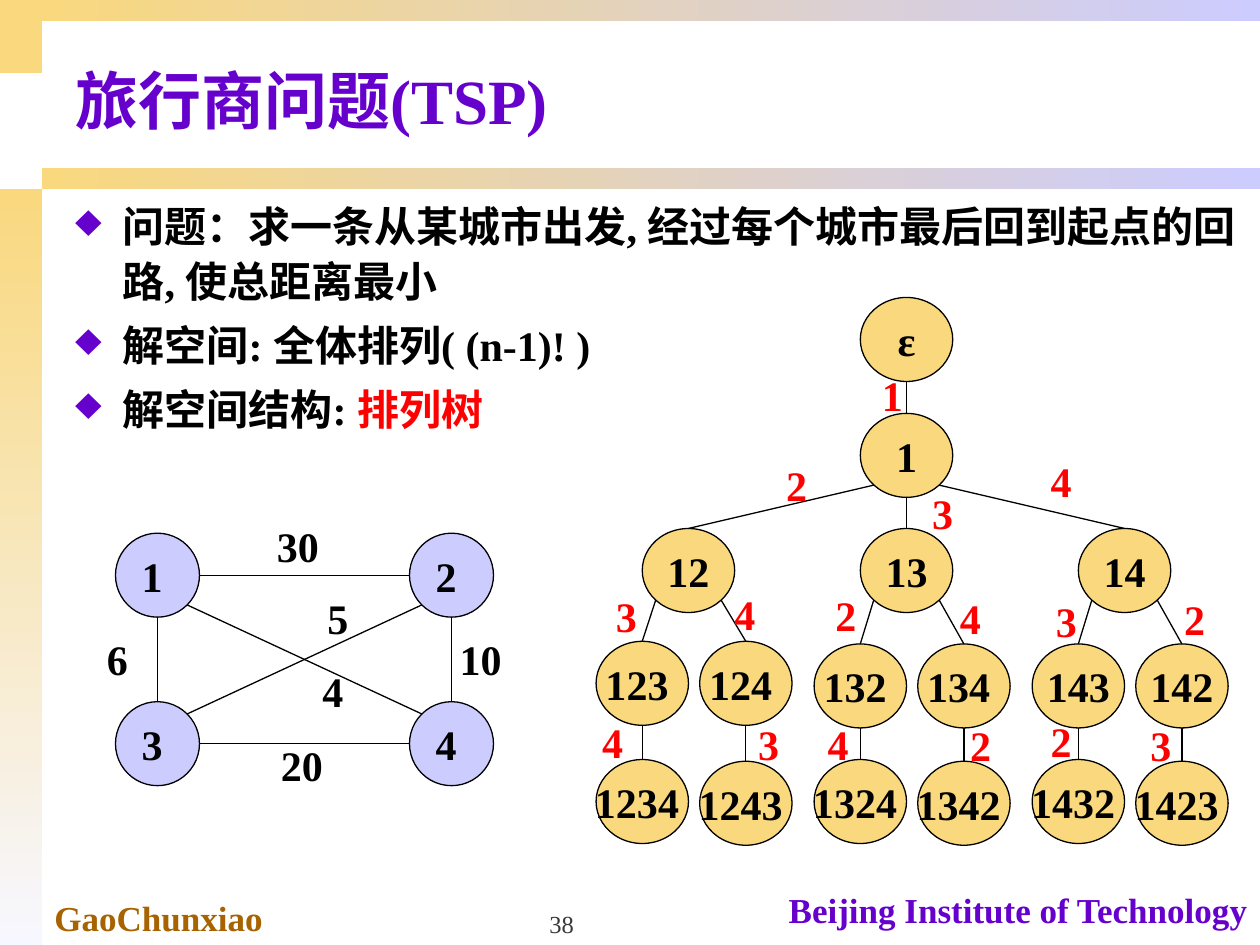
from typing import NamedTuple

from lxml import etree
from pptx import Presentation
from pptx.dml.color import RGBColor
from pptx.enum import shapes, text
from pptx.oxml.ns import qn
from pptx.util import Pt

HUES = {"gold": "F9D87E", "lilac": "CCCCFF", "pale": "F7F7FF", "purple": "6600CC",
        "brown": "A66300", "red": "FF0000", "black": "000000", "grey": "393939"}
FACE = "Times New Roman"
DIAG = 0.71


class Node(NamedTuple):
    """Ellipse by its centre; pad is the right inset that moves the name left."""
    name: str
    x: float
    y: float
    wide: float
    fill: str
    pad: float = 0


class Band(NamedTuple):
    x: float
    y: float
    wide: float
    high: float
    end: str
    turn: float


class Note(NamedTuple):
    words: str
    x: float
    y: float
    wide: float
    high: float
    look: dict
    side: int = text.PP_ALIGN.LEFT
    hold: int = text.MSO_ANCHOR.TOP


def rgb(hue: str) -> RGBColor:
    return RGBColor.from_string(HUES[hue])


def style(font, hue: str = "black", **look) -> None:
    for key, val in {"name": FACE, "size": Pt(24), "bold": True, **look}.items():
        setattr(font, key, val)
    font.color.rgb = rgb(hue)


def place(shape, x: float, y: float, wide: float, high: float) -> None:
    for key, val in zip(("left", "top", "width", "height"), (x, y, wide, high)):
        setattr(shape, key, Pt(val))


def draw_band(slide, band: Band) -> None:
    box = slide.shapes.add_shape(shapes.MSO_SHAPE.RECTANGLE, *map(Pt, band[:4]))
    box.shadow.inherit = False
    box.line.fill.background()
    box.fill.gradient()
    box.fill.gradient_angle = band.turn
    for stop, hue in zip(box.fill.gradient_stops, ("gold", band.end)):
        stop.color.rgb = rgb(hue)


def draw_note(slide, note: Note) -> None:
    box = slide.shapes.add_textbox(*map(Pt, note[1:5]))
    frame = box.text_frame
    frame.word_wrap = True
    frame.vertical_anchor = note.hold
    para = frame.paragraphs[0]
    para.text, para.alignment = note.words, note.side
    style(para.runs[0].font, **note.look)


def draw_label(slide, words: str, x: float, y: float, hue: str) -> None:
    draw_note(slide, Note(words, x, y, 8 + 12 * len(words) + 12, 36, {"hue": hue}))


def draw_node(slide, node: Node):
    oval = slide.shapes.add_shape(
        shapes.MSO_SHAPE.OVAL, Pt(node.x - node.wide / 2), Pt(node.y - 24), Pt(node.wide), Pt(48))
    oval.shadow.inherit = False
    oval.fill.solid()
    oval.fill.fore_color.rgb = rgb(node.fill)
    oval.line.color.rgb = rgb("black")
    oval.line.width = Pt(0.75)
    frame = oval.text_frame
    for key, val in {"margin_left": 0, "margin_top": 0, "margin_bottom": 0,
                     "margin_right": Pt(node.pad), "word_wrap": False,
                     "vertical_anchor": text.MSO_ANCHOR.MIDDLE}.items():
        setattr(frame, key, val)
    para = frame.paragraphs[0]
    para.text, para.alignment = node.name, text.PP_ALIGN.CENTER
    style(para.runs[0].font)
    return oval


def rim(node: Node, dx: float, dy: float) -> tuple:
    return Pt(node.x + dx * node.wide / 2), Pt(node.y + dy * 24)


def draw_link(slide, start: tuple, end: tuple):
    link = slide.shapes.add_connector(shapes.MSO_CONNECTOR.STRAIGHT, *start, *end)
    link.line.color.rgb = rgb("black")
    link.line.width = Pt(0.75)
    etree.SubElement(link._element.spPr, qn("a:effectLst"))
    return link


def draw_city(slide) -> None:
    """Weighted graph of the four cities."""
    spots = {"1": (90, 328.7), "2": (258, 328.7), "3": (90, 425), "4": (258, 425)}
    nodes = {name: Node(name, *at, 48, "lilac", 6) for name, at in spots.items()}
    for node in nodes.values():
        draw_node(slide, node)
    for a, b, cost, x, y in (
            ("1", "2", "30", 151.2, 293.8), ("1", "3", "6", 54, 358.6),
            ("2", "4", "10", 255.6, 358.6), ("3", "4", "20", 153.4, 419),
            ("2", "3", "5", 180, 334.8), ("1", "4", "4", 177.1, 376.6)):
        one, two = nodes[a], nodes[b]
        dx, dy = ((q > p) - (q < p) for p, q in zip(one[1:3], two[1:3]))
        size = DIAG if dx and dy else 1
        draw_link(slide, rim(one, dx * size, dy * size), rim(two, -dx * size, -dy * size))
        draw_label(slide, cost, x, y, "black")


def draw_tree(slide) -> None:
    """Permutation tree; each edge is labelled with the last city of its child."""
    nodes, above = {}, {}

    def grow(name: str, x: float, y: float, pad: float = 0, up: str = "") -> None:
        nodes[name] = Node(name, x, y, 52.8, "gold", pad)
        if up:
            above[name] = up

    grow("ε", 518, 194)
    grow("1", 518, 260.2, up="ε")
    for i, pair in enumerate((("1234", "1243"), ("1324", "1342"), ("1432", "1423"))):
        mid, stem = 393.4 + 124.6 * i, pair[0][:2]
        grow(stem, mid, 326, up="1")
        for j, leaf in enumerate(pair):
            x = mid - 26.4 + 59.2 * j
            grow(leaf[:3], x, 390.5 if i == 0 else 392, 6 if i < 2 else 0, stem)
            grow(leaf, x, 458 + j, 6, leaf[:3])
    ovals = {name: draw_node(slide, node) for name, node in nodes.items()}
    tags = {"1": (496.8, 207.4), "12": (442.1, 259.2), "13": (525.6, 275), "14": (593.3, 257),
            "123": (344.9, 334.1), "124": (412.6, 332.6), "132": (470.2, 333.4),
            "134": (541.4, 334.8), "143": (596.2, 337), "142": (669.6, 335.5),
            "1234": (337, 406.1), "1243": (426.2, 406.8), "1324": (465.8, 406.8),
            "1342": (547.2, 407.5), "1432": (593.3, 405.4), "1423": (650.2, 407.5)}
    for name, up in above.items():
        one, two = nodes[up], nodes[name]
        gap = two.x - one.x
        turn = (0, 1) if abs(gap) < 1 else (DIAG if gap > 0 else -DIAG, DIAG)
        draw_link(slide, rim(one, *turn), rim(two, 0, -1)).end_connect(ovals[name], 0)
        draw_label(slide, name[-1], *tags[name], "red")


def draw_body(slide) -> None:
    box = slide.shapes.add_textbox(Pt(36), Pt(108), Pt(684), Pt(140))
    frame = box.text_frame
    frame.word_wrap = True
    items = ((("问题：求一条从某城市出发, 经过每个城市最后回到起点的回路, 使总距离最小", "black"),),
             (("解空间: 全体排列( (n-1)! )", "black"),),
             (("解空间结构: ", "black"), ("排列树", "red")))
    for i, item in enumerate(items):
        para = frame.add_paragraph() if i else frame.paragraphs[0]
        props = para._p.get_or_add_pPr()
        props.set("marL", str(Pt(27)))
        props.set("indent", str(-Pt(27)))
        tint = etree.SubElement(props, qn("a:buClr"))
        etree.SubElement(tint, qn("a:srgbClr"), val=HUES["purple"])
        etree.SubElement(props, qn("a:buSzPct"), val="110000")
        etree.SubElement(props, qn("a:buChar"), char="♦")
        para.line_spacing = 1.1
        para.space_after = Pt(2.4)
        if i:
            para.space_before = Pt(2.4)
        for words, hue in item:
            run = para.add_run()
            run.text = words
            style(run.font, hue)


def main() -> None:
    deck = Presentation()
    deck.slide_width, deck.slide_height = Pt(720), Pt(540)
    slide = deck.slides.add_slide(deck.slide_layouts[5])
    for band in (Band(0, 0, 24, 42, "gold", 0), Band(0, 108, 24, 432, "pale", 270),
                 Band(24, 96, 696, 12, "lilac", 0), Band(24, 0, 696, 12, "lilac", 0)):
        draw_band(slide, band)
    title = slide.shapes.title
    place(title, 36, 18, 684, 77)
    title.text_frame.vertical_anchor = text.MSO_ANCHOR.MIDDLE
    para = title.text_frame.paragraphs[0]
    para.text, para.alignment = "旅行商问题(TSP)", text.PP_ALIGN.LEFT
    style(para.runs[0].font, "purple", size=Pt(36))
    draw_body(slide)
    for note in (
            Note("GaoChunxiao", 24, 509, 252, 31, {"hue": "brown", "size": Pt(20)}),
            Note("Beijing Institute of Technology", 438, 504, 282, 31,
                 {"hue": "purple", "size": Pt(20)}, text.PP_ALIGN.RIGHT),
            Note("38", 246, 504, 150, 36, {"hue": "grey", "size": Pt(14), "bold": False},
                 text.PP_ALIGN.CENTER, text.MSO_ANCHOR.BOTTOM)):
        draw_note(slide, note)
    draw_city(slide)
    draw_tree(slide)
    deck.save("out.pptx")


if __name__ == "__main__":
    main()
